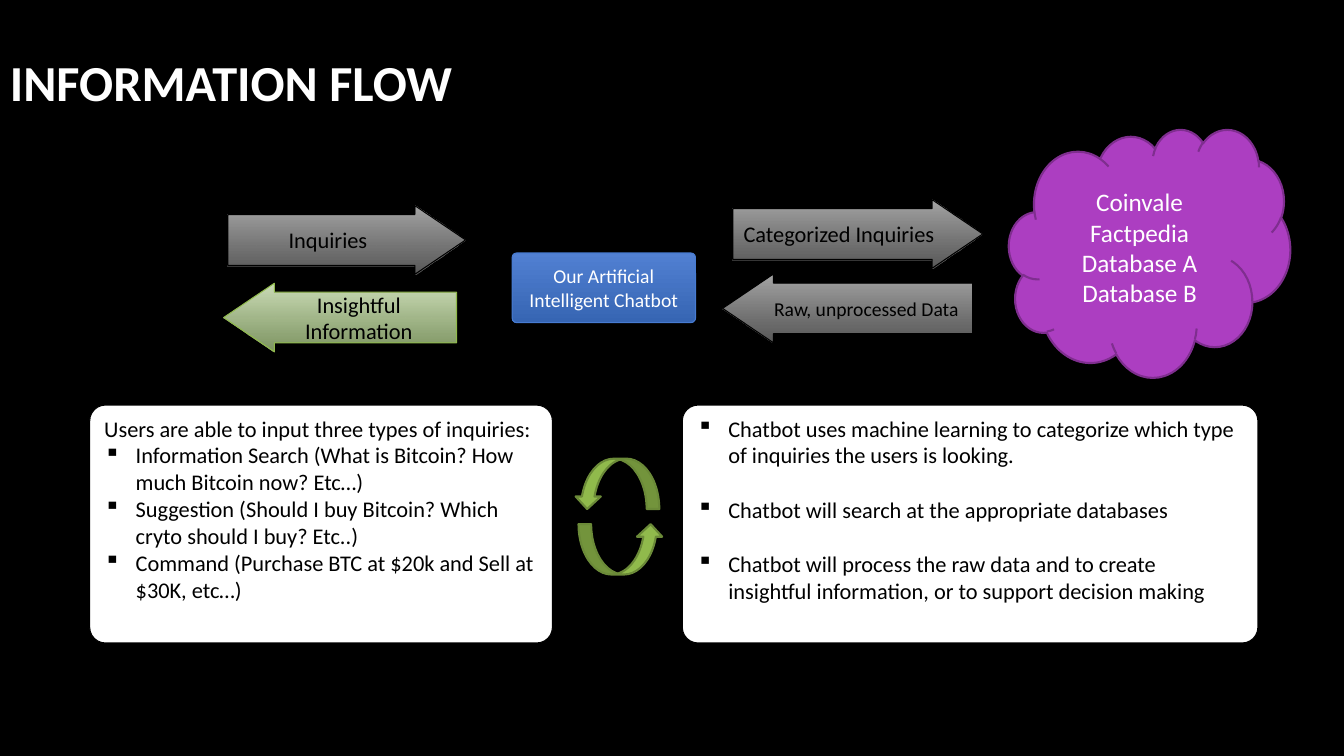
import pptx
import pptx.util
import pptx.dml.color
import pptx.enum.shapes
import pptx.enum.text
import pptx.oxml
import pptx.oxml.ns
from lxml import etree

Pt = pptx.util.Pt
Kind = pptx.enum.shapes.MSO_SHAPE
Align = pptx.enum.text.PP_ALIGN
Anchor = pptx.enum.text.MSO_ANCHOR

# Content
TITLE = "INFORMATION FLOW"
BOT = "Our Artificial Intelligent Chatbot"
# text, left, top, width, size, points left, fill, line
ARROWS = [
    ("Inquiries", 162.7, 146.9, 169.9, 16, False, "gray", "black"),
    ("Insightful Information", 159.8, 202.3, 166.3, 16, True, "pale", "green"),
    ("Categorized Inquiries", 523.4, 142.6, 178.6, 16, False, "gray", "black"),
    ("Raw, unprocessed Data", 516.2, 195.8, 178.6, 14, True, "gray", "black"),
]
SOURCES = ["Coinvale", "Factpedia", "Database A", "Database B"]
# left, width, gap between items, lead line, bulleted items
PANELS = [
    (64.1, 330.5, 0, ["Users are able to input three types of inquiries:"], [
        "Information Search (What is Bitcoin? How much Bitcoin now? Etc…)",
        "Suggestion (Should I buy Bitcoin? Which cryto should I buy? Etc..)",
        "Command (Purchase BTC at $20k and Sell at $30K, etc…)"]),
    (487.4, 411.1, 19.5, [], [
        "Chatbot uses machine learning to categorize which type of inquiries "
        "the users is looking.",
        "Chatbot will search at the appropriate databases",
        "Chatbot will process the raw data and to create insightful "
        "information, or to support decision making"]),
]
# left, top, turn
LOOPS = [(413.3, 374.4, 0), (410.4, 327.6, 180)]

COLORS = {"black": "000000", "white": "FFFFFF", "green": "90BA4C",
          "moss": "6B8A38", "purple": "AC3EC1", "plum": "7F2E8F",
          "blue": "477BD1"}
# top colour, bottom colour, opacity of the bottom in percent
FADES = {"gray": ("A6A6A6", "797979", 74), "pale": ("CDDEB9", "ABC987", 74),
         "azure": ("5180D2", "3665B3", 100)}


def rgb(name):
    return pptx.dml.color.RGBColor.from_string(COLORS.get(name, name))


def paint(shape, fill):
    if fill not in FADES:
        shape.fill.solid()
        shape.fill.fore_color.rgb = rgb(fill)
        return
    top, base, alpha = FADES[fill]
    shape.fill.gradient()
    shape.fill.gradient_angle = 270
    for stop, tone in zip(shape.fill.gradient_stops, (top, base)):
        stop.color.rgb = rgb(tone)
    if alpha < 100:
        last = list(shape._element.spPr.iter(pptx.oxml.ns.qn("a:srgbClr")))[-1]
        etree.SubElement(last, pptx.oxml.ns.qn("a:alpha"), val=str(alpha * 1000))


def draw(kind, box, fill, line, width, adjust=()):
    shape = slide.shapes.add_shape(kind, *map(Pt, box))
    shape.shadow.inherit = False
    paint(shape, fill)
    shape.line.color.rgb = rgb(line)
    shape.line.width = Pt(width)
    for i, value in enumerate(adjust):
        shape.adjustments[i] = value
    return shape


def write(shape, lines, size, color, align=Align.CENTER, anchor=Anchor.MIDDLE,
          bold=False, lead=None, gap=0):
    """Fill a shape with text; lines from index lead onward get bullets."""
    frame = shape.text_frame
    frame.word_wrap = True
    frame.vertical_anchor = anchor
    for i, text in enumerate(lines):
        para = frame.paragraphs[0] if i == 0 else frame.add_paragraph()
        para.text = text
        para.alignment = align
        if lead is not None and i >= lead:
            props = para._p.get_or_add_pPr()
            props.set("marL", str(Pt(22.5)))
            props.set("indent", str(Pt(-22.5)))
            etree.SubElement(props, pptx.oxml.ns.qn("a:buChar"), char="▪")
        if i and gap:
            para.space_before = Pt(gap)
        para.font.name = "Calibri"
        para.font.size = Pt(size)
        para.font.bold = bold
        para.font.color.rgb = rgb(color)


deck = pptx.Presentation()
deck.slide_width, deck.slide_height = Pt(960), Pt(540)
slide = deck.slides.add_slide(deck.slide_layouts[6])
slide.background.fill.solid()
slide.background.fill.fore_color.rgb = rgb("black")

# Title
head = slide.shapes.add_textbox(Pt(0), Pt(0.7), Pt(797.8), Pt(114.5))
write(head, [TITLE], 36, "white", Align.LEFT, bold=True)

# Chatbot with its soft shadow
bot = draw(Kind.ROUNDED_RECTANGLE, (365.8, 180.7, 131, 49.7), "azure", "blue",
           0.75, [0.064])
bot._element.spPr.find(pptx.oxml.ns.qn("a:effectLst")).append(pptx.oxml.parse_xml(
    f'<a:outerShdw {pptx.oxml.ns.nsdecls("a")} blurRad="{Pt(4)}" dist="{Pt(3)}" '
    'dir="5400000" rotWithShape="0"><a:srgbClr val="000000">'
    '<a:alpha val="35000"/></a:srgbClr></a:outerShdw>'))
write(bot, [BOT], 14, "white")

# Flow arrows
for text, left, top, width, size, back, fill, line in ARROWS:
    arrow = draw(Kind.RIGHT_ARROW, (left, top, width, 49), fill, line, 0.75,
                 [0.739, 0.739])
    if back:
        arrow._element.spPr.xfrm.set("flipH", "1")
    write(arrow, [text], size, "black")

# Data sources
cloud = draw(Kind.CLOUD, (720.7, 92.2, 200.9, 177.1), "purple", "plum", 1.5)
write(cloud, SOURCES, 18, "white")

# Explanation panels
for left, width, gap, lead, items in PANELS:
    panel = draw(Kind.ROUNDED_RECTANGLE, (left, 289.4, width, 169.9), "white",
                 "black", 0.75, [0.066])
    write(panel, lead + items, 16, "black", Align.LEFT, Anchor.TOP,
          lead=len(lead), gap=gap)

# Cycle between the panels
for left, top, turn in LOOPS:
    loop = draw(Kind.CURVED_UP_ARROW, (left, top, 60.5, 36), "green", "moss", 1.5)
    loop.rotation = turn

deck.save("out.pptx")
